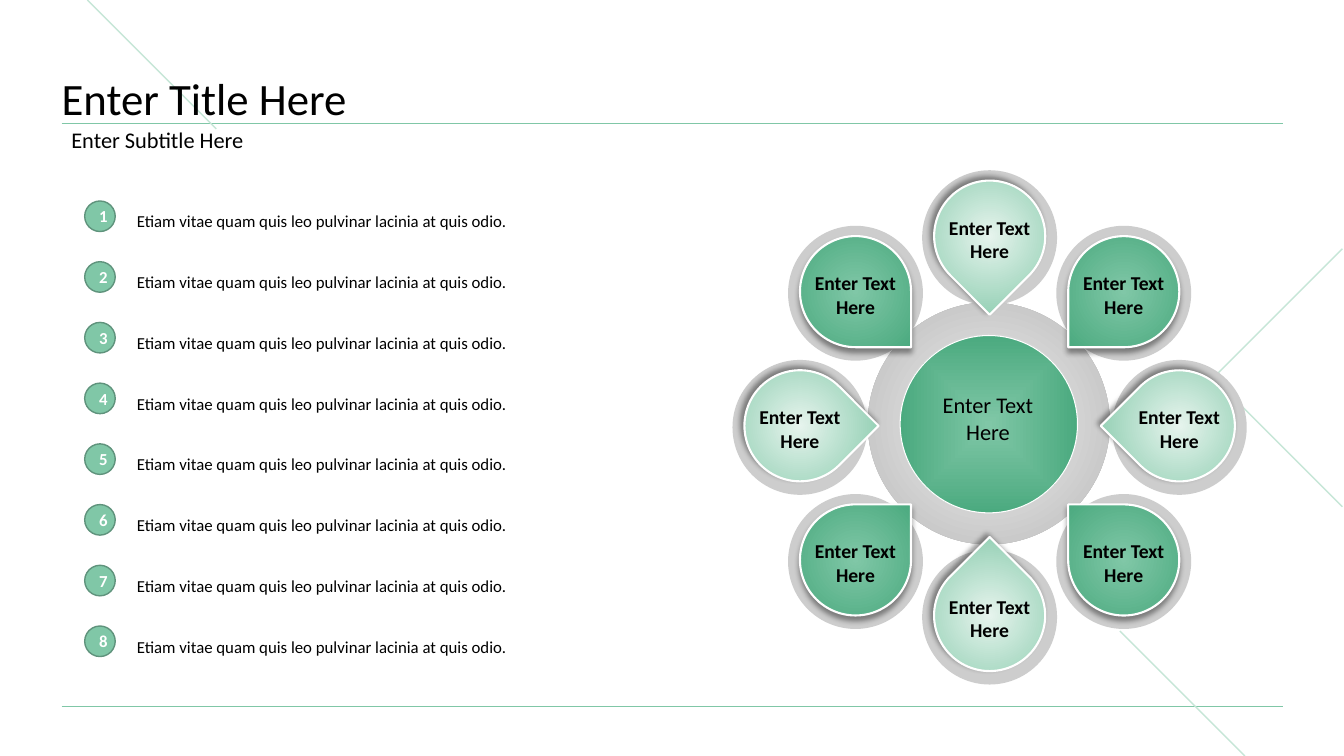
from math import cos, radians, sin

from lxml.etree import SubElement
from pptx import Presentation
from pptx.dml.color import RGBColor
from pptx.enum.shapes import MSO_CONNECTOR, MSO_SHAPE
from pptx.enum.text import MSO_ANCHOR, MSO_AUTO_SIZE, PP_ALIGN
from pptx.oxml.ns import qn
from pptx.util import Cm, Pt

GREEN = RGBColor(0x80, 0xC7, 0xA7)
DEEP_GREEN = RGBColor(0x4B, 0xAA, 0x7F)
MIST = RGBColor(0xE6, 0xF4, 0xED)
PALE_GREEN = RGBColor(0xC6, 0xE6, 0xD7)
BADGE_EDGE = RGBColor(0x5F, 0x93, 0x7C)
LIGHT_GRAY = RGBColor(0xF2, 0xF2, 0xF2)
MID_GRAY = RGBColor(0xBF, 0xBF, 0xBF)
RING_GRAY = RGBColor(0xCD, 0xCD, 0xCD)
WHITE = RGBColor(0xFF, 0xFF, 0xFF)
BLACK = RGBColor(0, 0, 0)

HUB_X, HUB_Y, ORBIT = 24.94, 10.77, 4.78
ITEMS = ["Etiam vitae quam quis leo pulvinar lacinia at quis odio."] * 8
PETALS = [["Enter Text", "Here"]] * 8
LIGHT_STOPS = [(0, MIST), (0.91, GREEN)]
DARK_STOPS = [(0, GREEN), (1, DEEP_GREEN)]


def write(tf, lines, size, color=BLACK, bold=False, **para_format):
    for i, line in enumerate(lines):
        p = tf.paragraphs[0] if i == 0 else tf.add_paragraph()
        for name, value in para_format.items():
            setattr(p, name, value)
        r = p.add_run()
        r.text = line
        for name, value in {"name": "Calibri", "size": Pt(size), "bold": bold}.items():
            setattr(r.font, name, value)
        r.font.color.rgb = color


def add_text(s, x, y, w, h, text, size, spacing):
    tf = s.shapes.add_textbox(Cm(x), Cm(y), Cm(w), Cm(h)).text_frame
    tf.word_wrap = True
    tf.vertical_anchor = MSO_ANCHOR.MIDDLE
    write(tf, [text], size, line_spacing=spacing)


def add_label(s, cx, cy, w, h, lines, size, bold):
    tf = s.shapes.add_textbox(Cm(cx - w / 2), Cm(cy - h / 2), Cm(w), Cm(h)).text_frame
    tf.word_wrap = False
    tf.auto_size = MSO_AUTO_SIZE.SHAPE_TO_FIT_TEXT
    write(tf, lines, size, bold=bold, alignment=PP_ALIGN.CENTER)


def add_line(s, x1, y1, x2, y2, color, width):
    line = s.shapes.add_connector(MSO_CONNECTOR.STRAIGHT, Cm(x1), Cm(y1), Cm(x2), Cm(y2))
    line.line.color.rgb = color
    line.line.width = Pt(width)
    SubElement(line.element.spPr, qn("a:effectLst"))


def add_round(s, kind, cx, cy, size, edge=None, width=1):
    sp = s.shapes.add_shape(kind, Cm(cx - size / 2), Cm(cy - size / 2), Cm(size), Cm(size))
    sp.shadow.inherit = False
    if edge is None:
        sp.line.fill.background()
    else:
        sp.line.color.rgb = edge
        sp.line.width = Pt(width)
    return sp


def fill_solid(sp, color):
    sp.fill.solid()
    sp.fill.fore_color.rgb = color


def fill_radial(sp, stops, path="circle"):
    sp.fill.gradient()
    for stop, (position, color) in zip(sp.fill.gradient_stops, stops):
        stop.position = position
        stop.color.rgb = color
    grad = sp.element.spPr.find(qn("a:gradFill"))
    grad.remove(grad.find(qn("a:lin")))
    centre = SubElement(grad, qn("a:path"), path=path)
    SubElement(centre, qn("a:fillToRect"), dict.fromkeys("ltrb", "50000"))


def add_shadow(sp, angle):
    effects = sp.element.spPr.find(qn("a:effectLst"))
    shadow = SubElement(effects, qn("a:outerShdw"), blurRad=str(Pt(4)), dist=str(Pt(3)),
                        dir=str(angle * 60000), algn="ctr", rotWithShape="0")
    color = SubElement(shadow, qn("a:srgbClr"), val=str(BLACK))
    SubElement(color, qn("a:alpha"), val="40000")


def add_backdrop(s):
    for y in (17.81, 3.12):
        add_line(s, 1.55, y, 32.33, y, GREEN, 0.5)
    add_line(s, 28.22, 15.9, 31.37, 19.05, PALE_GREEN, 1)
    add_line(s, 2.2, 0, 5.45, 3.25, PALE_GREEN, 1)
    builder = s.shapes.build_freeform(Cm(33.83), Cm(6.27))
    builder.add_line_segments([(Cm(30.58), Cm(9.52)), (Cm(33.83), Cm(12.77))], close=False)
    chevron = builder.convert_to_shape()
    chevron.shadow.inherit = False
    chevron.fill.background()
    chevron.line.color.rgb = PALE_GREEN
    chevron.line.width = Pt(1)


def add_headings(s):
    title = s.shapes.title
    title.element.getparent().append(title.element)  # in front of the backdrop
    box = {"left": 1.55, "top": 1.12, "width": 30.78, "height": 2.03}
    for name, value in box.items():
        setattr(title, name, Cm(value))
    tf = title.text_frame
    for side in ("left", "top", "right", "bottom"):
        setattr(tf, "margin_" + side, 0)
    tf.vertical_anchor = MSO_ANCHOR.BOTTOM
    write(tf, ["Enter Title Here"], 32, alignment=PP_ALIGN.LEFT, line_spacing=0.9)
    add_text(s, 1.55, 3.12, 30.78, 0.86, "Enter Subtitle Here", 16, 0.9)


def add_hub(s):
    ring = add_round(s, MSO_SHAPE.OVAL, 24.92, HUB_Y - 0.1, 6.1)
    fill_radial(ring, [(0, LIGHT_GRAY), (0.88, MID_GRAY)])
    core = add_round(s, MSO_SHAPE.OVAL, 24.92, HUB_Y - 0.08, 4.47, WHITE, 0.75)
    fill_radial(core, DARK_STOPS, "shape")
    add_label(s, 24.9, 10.54, 2.95, 1.63, ["Enter Text", "Here"], 16, False)


def add_petal(s, i, lines):
    light = i % 2 == 0
    angle = radians(45 * i)
    cx, cy = HUB_X + ORBIT * sin(angle), HUB_Y - ORBIT * cos(angle)
    fill_solid(add_round(s, MSO_SHAPE.OVAL, cx, cy, 3.4), RING_GRAY)
    drop = add_round(s, MSO_SHAPE.TEAR, cx, cy - 0.04, 2.8, WHITE, 1.5)
    drop.rotation = (135 + 45 * i) % 360
    fill_radial(drop, LIGHT_STOPS if light else DARK_STOPS)
    add_shadow(drop, 225 if light else 90)
    add_label(s, cx, cy + 0.04, 2.57, 1.45, lines, 14, True)


def add_item(s, i, text):
    offset = 1.53 * i
    badge = add_round(s, MSO_SHAPE.OVAL, 2.52, 5.45 + offset, 0.77, BADGE_EDGE)
    fill_solid(badge, GREEN)
    write(badge.text_frame, [str(i + 1)], 12, WHITE, True, alignment=PP_ALIGN.CENTER)
    add_text(s, 3.2, 4.88 + offset, 10.26, 1.14, text, 12, 1.5)


def main():
    prs = Presentation()
    prs.slide_width, prs.slide_height = Cm(33.87), Cm(19.05)
    s = prs.slides.add_slide(prs.slide_layouts[5])
    add_backdrop(s)
    add_headings(s)
    # Flower diagram
    add_hub(s)
    for i, lines in enumerate(PETALS):
        add_petal(s, i, lines)
    # Numbered list
    for i, text in enumerate(ITEMS):
        add_item(s, i, text)
    prs.save("out.pptx")


if __name__ == "__main__":
    main()
